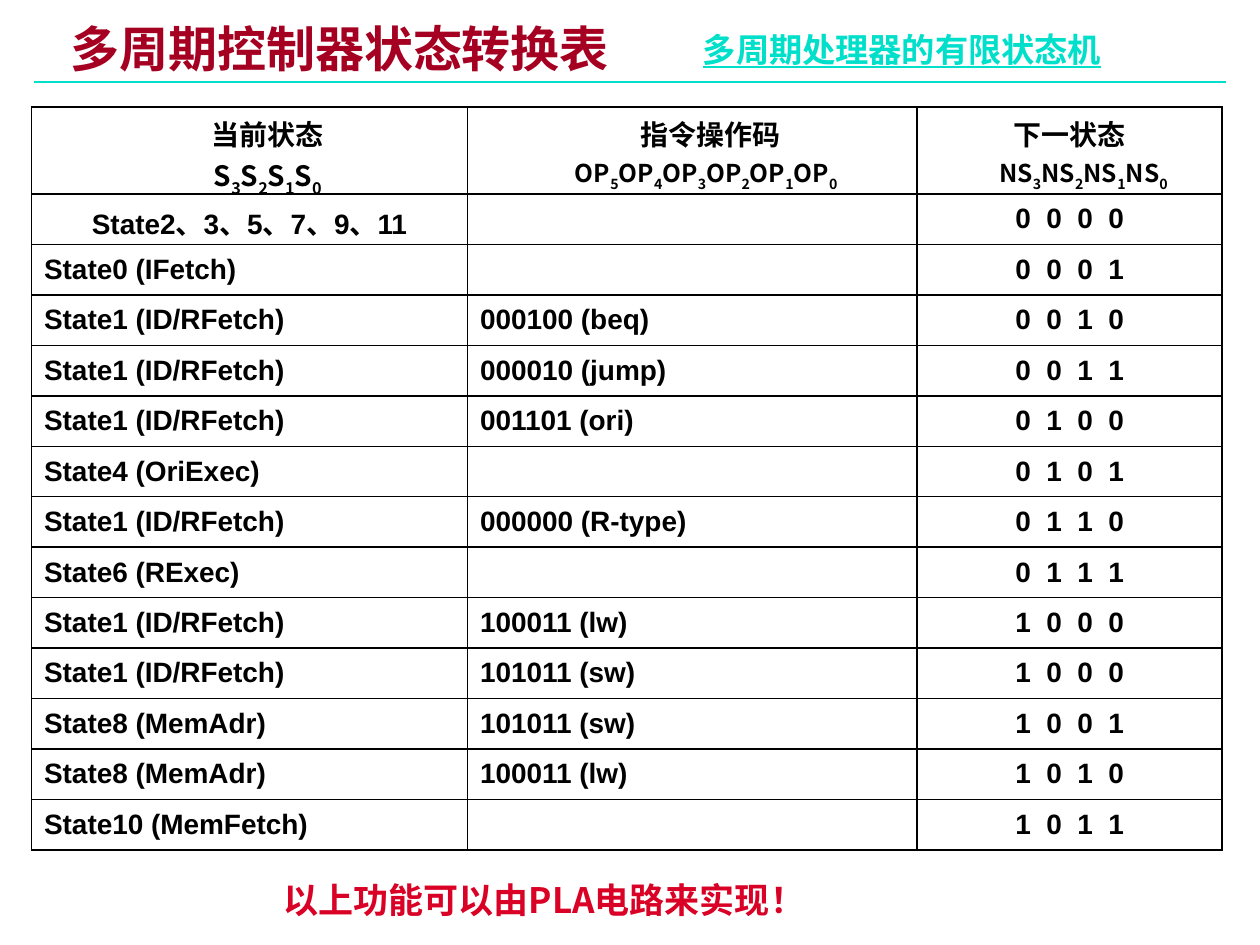
from lxml.etree import SubElement
from pptx import Presentation
from pptx.dml.color import RGBColor
from pptx.enum.shapes import MSO_CONNECTOR
from pptx.enum.text import MSO_ANCHOR as ANCHOR, PP_ALIGN as ALIGN
from pptx.oxml import parse_xml
from pptx.oxml.ns import nsdecls, qn
from pptx.util import Inches, Pt

# Content
TITLE = "多周期控制器状态转换表"
SUBTITLE = "多周期处理器的有限状态机"
CONCLUSION = "以上功能可以由PLA电路来实现！"
# label, signal, highest bit, signal size, first-line indent, own paragraph for signals
HEADERS = [
    ("当前状态", "S", 3, 16, 0.07, True),
    ("指令操作码", "OP", 5, 14, 0.07, False),
    ("下一状态", "NS", 3, 14, -0.22, False),
]
DECODE = "State1 (ID/RFetch)"
TRANSITIONS = [
    ("State2、3、5、7、9、11", "", "0000"),
    ("State0 (IFetch)", "", "0001"),
    (DECODE, "000100 (beq)", "0010"),
    (DECODE, "000010 (jump)", "0011"),
    (DECODE, "001101 (ori)", "0100"),
    ("State4 (OriExec)", "", "0101"),
    (DECODE, "000000 (R-type)", "0110"),
    ("State6 (RExec)", "", "0111"),
    (DECODE, "100011 (lw)", "1000"),
    (DECODE, "101011 (sw)", "1000"),
    ("State8 (MemAdr)", "101011 (sw)", "1001"),
    ("State8 (MemAdr)", "100011 (lw)", "1010"),
    ("State10 (MemFetch)", "", "1011"),
]

# Formats
BLACK = RGBColor(0x00, 0x00, 0x00)
DARK_RED = RGBColor(0xA5, 0x00, 0x21)
RED = RGBColor(0xD9, 0x01, 0x25)
TURQUOISE = RGBColor(0x00, 0xDF, 0xCA)
CJK = "Noto Sans CJK SC"
TITLE_FONT = dict(name="Arial", size=Pt(28), bold=True)
SUBTITLE_FONT = dict(name=CJK, size=Pt(19), bold=True, underline=True)
CONCLUSION_FONT = dict(name=CJK, size=Pt(20), bold=True)
HEADER_FONT = dict(name=CJK, size=Pt(16), bold=True)
BODY_FONT = dict(name="Arial", size=Pt(16), bold=True)

# Table grid
COLUMN_WIDTHS = [3.46, 3.57, 2.42]
HEADER_HEIGHT, TABLE_HEIGHT = 0.69, 5.9
ROW_HEIGHT = (TABLE_HEIGHT - HEADER_HEIGHT) / len(TRANSITIONS)
HANGING = 0.22


def add_text(paragraph, text, font, color, baseline=0):
    run = paragraph.add_run()
    run.text = text
    for attribute, value in font.items():
        setattr(run.font, attribute, value)
    run.font.color.rgb = color
    properties = run.font._element
    SubElement(properties, qn("a:ea")).set("typeface", CJK)
    if baseline:
        properties.set("baseline", str(baseline * 1000))


def indent(paragraph, first_line=-HANGING):
    properties = paragraph._p.get_or_add_pPr()
    properties.set("marL", str(Inches(HANGING)))
    properties.set("indent", str(Inches(first_line)))


def add_border(cell):
    for position, side in enumerate(("lnL", "lnR", "lnT", "lnB")):
        cell._tc.get_or_add_tcPr().insert(position, parse_xml(
            f'<a:{side} {nsdecls("a")} w="{Pt(1)}"><a:solidFill>'
            f'<a:srgbClr val="{BLACK}"/></a:solidFill></a:{side}>'))


def fill_header(cell, label, signal, top_bit, size, first_line, separate):
    frame = cell.text_frame
    paragraph = frame.paragraphs[0]
    add_text(paragraph, label, HEADER_FONT, BLACK)
    if separate:
        paragraph = frame.add_paragraph()
    else:
        paragraph.add_line_break()
    signal_font = HEADER_FONT | {"size": Pt(size)}
    for bit in range(top_bit, -1, -1):
        add_text(paragraph, signal, signal_font, BLACK)
        add_text(paragraph, str(bit), signal_font, BLACK, baseline=-30)
    for line in frame.paragraphs:
        line.alignment = ALIGN.CENTER
        indent(line, first_line)
    cell.margin_bottom = 0


def fill_body(cell, text, centered):
    cell.vertical_anchor = ANCHOR.MIDDLE
    paragraph = cell.text_frame.paragraphs[0]
    paragraph.alignment = ALIGN.CENTER if centered else ALIGN.LEFT
    indent(paragraph)
    if text:
        add_text(paragraph, text, BODY_FONT, BLACK)
    # Taller lines need the bottom margin to stay inside the row
    if not text or "、" in text:
        cell.margin_bottom = 0


def add_transition_table(slide):
    table = slide.shapes.add_table(
        len(TRANSITIONS) + 1, len(HEADERS), Inches(0.25), Inches(0.85),
        Inches(sum(COLUMN_WIDTHS)), Inches(TABLE_HEIGHT)).table
    table.first_row = table.horz_banding = False
    for column, width in zip(table.columns, COLUMN_WIDTHS):
        column.width = Inches(width)
    for number, row in enumerate(table.rows):
        row.height = Inches(ROW_HEIGHT if number else HEADER_HEIGHT)
    for column, header in enumerate(HEADERS):
        fill_header(table.cell(0, column), *header)
    for row, (state, opcode, next_state) in enumerate(TRANSITIONS, 1):
        fill_body(table.cell(row, 0), state, centered="、" in state)
        fill_body(table.cell(row, 1), opcode, centered=False)
        fill_body(table.cell(row, 2), "  ".join(next_state), centered=True)
    for cell in table.iter_cells():
        cell.fill.background()
        add_border(cell)


def add_label(slide, place, text, font, color):
    frame = slide.shapes.add_textbox(*map(Inches, place)).text_frame
    frame.word_wrap = True
    add_text(frame.paragraphs[0], text, font, color)


def main():
    deck = Presentation()
    deck.slide_width, deck.slide_height = Inches(10), Inches(7.5)
    slide = deck.slides.add_slide(deck.slide_layouts[5])

    # Rule under the title
    rule = slide.shapes.add_connector(
        MSO_CONNECTOR.STRAIGHT, *map(Inches, (0.27, 0.65, 9.73, 0.65)))
    rule.line.color.rgb = TURQUOISE
    rule.line.width = Pt(1.5)
    SubElement(rule._element.spPr, qn("a:effectLst"))

    # Title
    title = slide.shapes.title
    title.left, title.top, title.width, title.height = map(
        Inches, (0.49, 0.18, 8.2, 0.46))
    frame = title.text_frame
    frame.margin_left = frame.margin_right = Inches(0.07)
    frame.margin_top = frame.margin_bottom = Inches(0.03)
    frame.vertical_anchor = ANCHOR.TOP
    heading = frame.paragraphs[0]
    heading.alignment = ALIGN.LEFT
    heading.line_spacing = 0.87
    add_text(heading, TITLE, TITLE_FONT, DARK_RED)

    # Conclusion, table and subtitle
    add_label(slide, (2.15, 6.92, 5.92, 0.43), CONCLUSION, CONCLUSION_FONT, RED)
    add_transition_table(slide)
    add_label(slide, (5.48, 0.18, 3.65, 0.42), SUBTITLE, SUBTITLE_FONT, TURQUOISE)

    deck.save("out.pptx")


if __name__ == "__main__":
    main()
